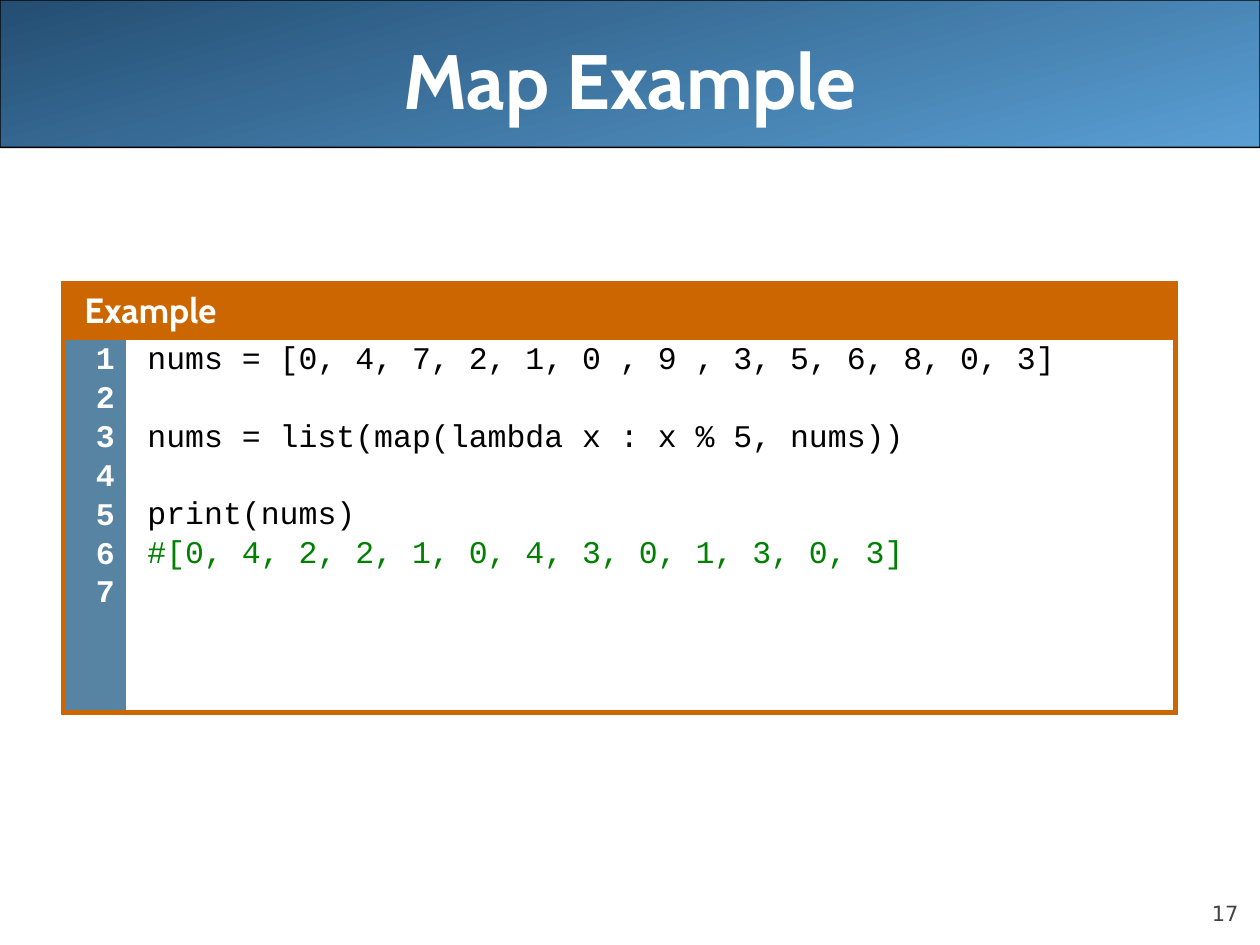
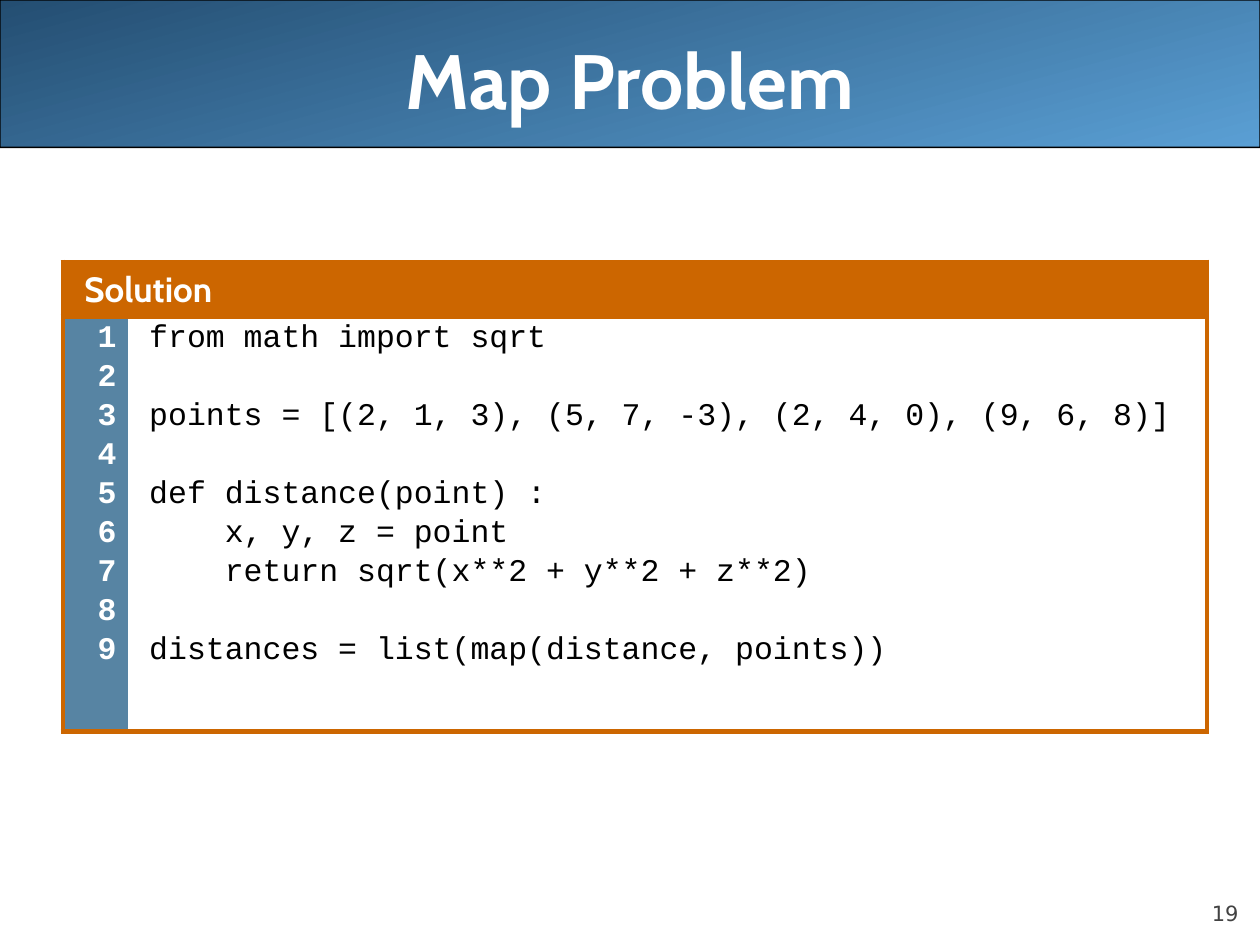
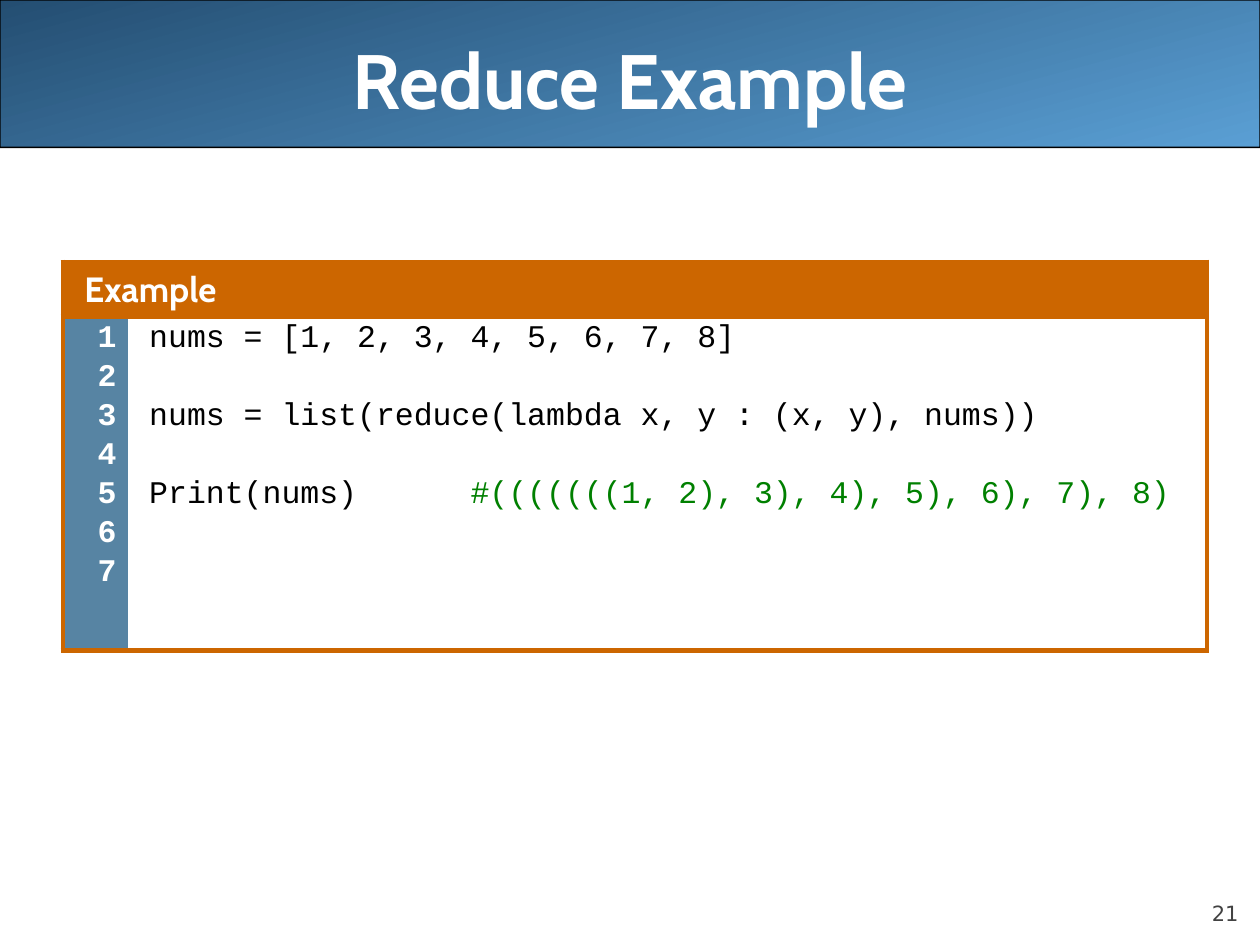
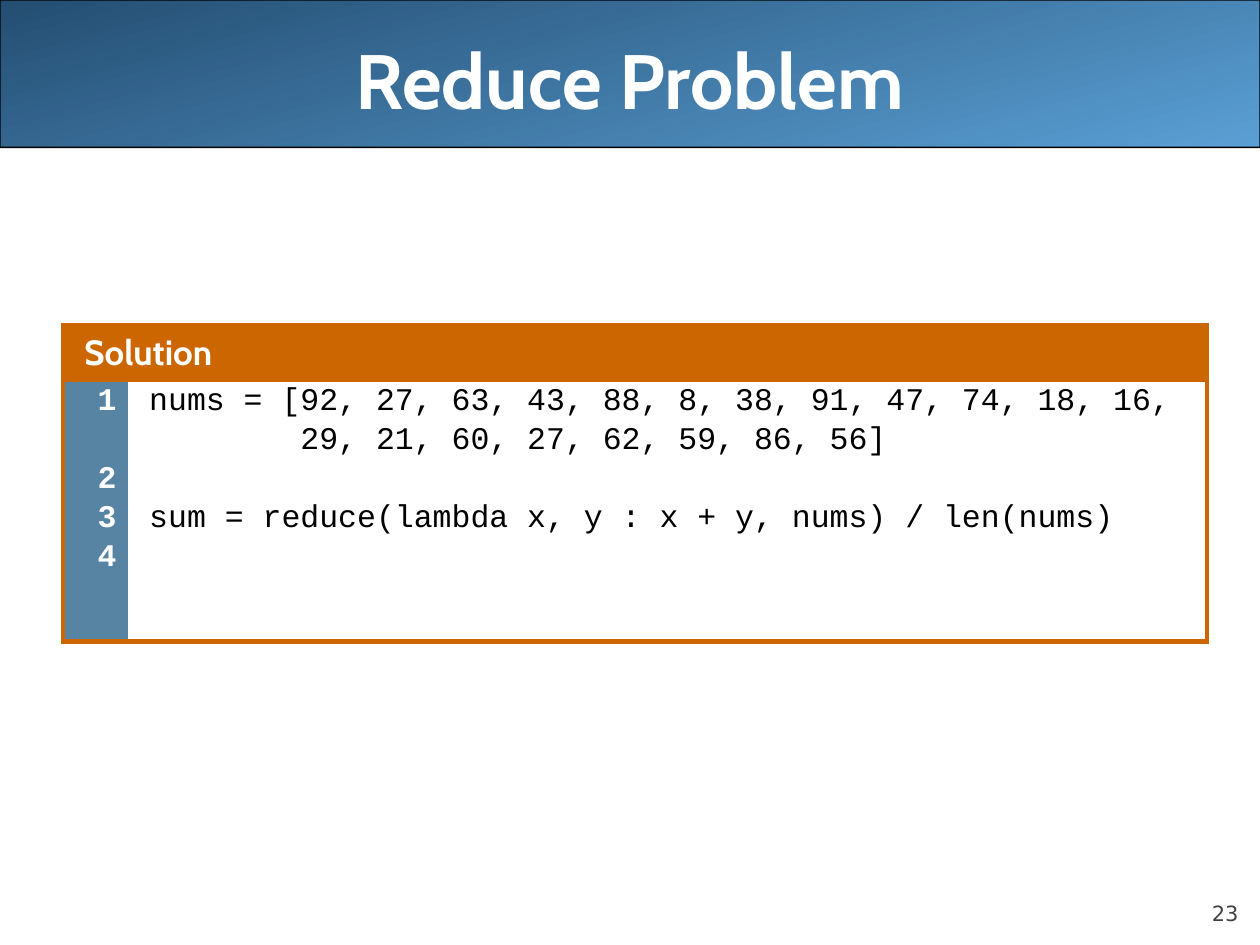
from lxml import etree
from pptx import Presentation
from pptx import util as u
from pptx.dml.color import RGBColor
from pptx.enum import shapes, text
from pptx.oxml import ns

W, H = 10, 7.5
ORANGE, STEEL, WHITE, BLACK = "CC6600", "5784A3", "FFFFFF", "000000"
GREEN, GREY, LIGHT, DARK = "008000", "424242", "5A9FD4", "244E72"

# Text formats
TITLE = dict(name="Cabin", size=u.Pt(44), bold=True, color=WHITE)
HEADING = dict(name="Cabin", size=u.Pt(20), bold=True, color=WHITE)
PAGE = dict(name="DejaVu Sans", size=u.Pt(12), bold=False, color=GREY)
NUMBER = dict(name="Courier New", size=u.Pt(18), bold=True, color=WHITE)
CODE = dict(NUMBER, bold=False, color=BLACK)
COMMENT = dict(CODE, color=GREEN)

# Code metrics
CHAR = 0.15            # width of one character, inches
TAB_COLUMN = 17        # character column of a trailing comment
LINE_SPACING = 0.87
SPACE_BEFORE = 4.5     # points
LINE_PITCH = 22.24     # points from one code line to the next
HEADER_H = 0.42
NUMBER_SHARE = 0.0567  # share of the table's width

SLIDES = [
    dict(title="Map Example", page=17, heading="Example",
         box=(0.5, 2.25, 8.83, 3.39), numbers="1 2 3 4 5 6 7".split(),
         code=["nums = [0, 4, 7, 2, 1, 0 , 9 , 3, 5, 6, 8, 0, 3]",
               "",
               "nums = list(map(lambda x : x % 5, nums))",
               "",
               "print(nums)",
               "#[0, 4, 2, 2, 1, 0, 4, 3, 0, 1, 3, 0, 3]"]),
    dict(title="Map Problem", page=19, heading="Solution",
         box=(0.5, 2.08, 9.08, 3.71), numbers="1 2 3 4 5 6 7 8 9".split(),
         code=["from math import sqrt",
               "",
               "points = [(2, 1, 3), (5, 7, -3), (2, 4, 0), (9, 6, 8)]",
               "",
               "def distance(point) :",
               "    x, y, z = point",
               "    return sqrt(x**2 + y**2 + z**2)",
               "",
               "distances = list(map(distance, points))"]),
    dict(title="Reduce Example", page=21, heading="Example",
         box=(0.5, 2.08, 9.08, 3.07), numbers="1 2 3 4 5 6 7".split(),
         code=["nums = [1, 2, 3, 4, 5, 6, 7, 8]",
               "",
               "nums = list(reduce(lambda x, y : (x, y), nums))",
               "",
               "Print(nums)\t#(((((((1, 2), 3), 4), 5), 6), 7), 8)"]),
    dict(title="Reduce Problem", page=23, heading="Solution",
         box=(0.5, 2.58, 9.08, 2.5), numbers=["1", "", "2", "3", "4"],
         code=["nums = [92, 27, 63, 43, 88, 8, 38, 91, 47, 74, 18, 16,",
               "        29, 21, 60, 27, 62, 59, 86, 56]",
               "",
               "sum = reduce(lambda x, y : x + y, nums) / len(nums)"]),
]


def rgb(value):
    return RGBColor.from_string(value)


def inches(*values):
    return [u.Inches(v) for v in values]


def add_run(p, content, fmt):
    r = p.add_run()
    r.text = content
    for key, value in fmt.items():
        if key == "color":
            r.font.color.rgb = rgb(value)
        else:
            setattr(r.font, key, value)


# Shared parts
def add_band(layout, slide):
    """Draw the gradient title band and hand it to the layout."""
    sp = slide.shapes.add_shape(shapes.MSO_SHAPE.ROUNDED_RECTANGLE,
                                *inches(0, 0, W, 1.17))
    sp.adjustments[0] = 0.001
    sp.shadow.inherit = False
    sp.fill.gradient()
    sp.fill.gradient_angle = 105
    for stop, color, position in zip(sp.fill.gradient_stops, (LIGHT, DARK), (0, 1)):
        stop.color.rgb = rgb(color)
        stop.position = position
    sp.line.color.rgb = rgb(BLACK)
    sp.line.width = u.Pt(0.75)
    layout.shapes._spTree.insert(2, sp._element)


def set_title(slide, content):
    sp = slide.shapes.title
    sp.left, sp.top, sp.width, sp.height = inches(0.5, 0, W - 1, 1.25)
    tf = sp.text_frame
    tf.vertical_anchor = text.MSO_ANCHOR.MIDDLE
    p = tf.paragraphs[0]
    p.alignment = text.PP_ALIGN.CENTER
    add_run(p, content, TITLE)


def add_page_number(slide, number):
    tf = slide.shapes.add_textbox(*inches(9, 6.95, 0.83, 0.4)).text_frame
    tf.word_wrap = True
    tf.vertical_anchor = text.MSO_ANCHOR.BOTTOM
    tf.margin_left = tf.margin_right = tf.margin_top = tf.margin_bottom = 0
    p = tf.paragraphs[0]
    p.alignment = text.PP_ALIGN.RIGHT
    p.space_before = u.Pt(5)
    add_run(p, str(number), PAGE)


# Code table
def style_cell(cell, fill, edges, right=0.05):
    """Set margins, fill and the borders named in edges (of L, R, T, B)."""
    cell.margin_left, cell.margin_right = inches(0.17, right)
    cell.margin_top = cell.margin_bottom = u.Inches(0.05)
    tc_pr = cell._tc.get_or_add_tcPr()
    for side in "LRTB":
        ln = etree.SubElement(tc_pr, ns.qn("a:ln" + side), w=str(u.Pt(3)))
        if side in edges:
            solid = etree.SubElement(ln, ns.qn("a:solidFill"))
            etree.SubElement(solid, ns.qn("a:srgbClr"), val=ORANGE)
        else:
            etree.SubElement(ln, ns.qn("a:noFill"))
    cell.fill.solid()
    cell.fill.fore_color.rgb = rgb(fill)


def add_lines(tf, lines, fmt, align):
    """One paragraph a line; an empty line widens the space before the next."""
    gap, p = SPACE_BEFORE, None
    for line in lines:
        if not line:
            gap += LINE_PITCH
            continue
        p = tf.add_paragraph() if p is not None else tf.paragraphs[0]
        p.alignment = align
        p.line_spacing = LINE_SPACING
        p.space_before = u.Pt(gap)
        gap = SPACE_BEFORE
        p_pr = p._p.get_or_add_pPr()
        body = line.lstrip(" ")
        p_pr.set("marL", str(u.Inches(CHAR * (len(line) - len(body)))))
        if "\t" in body:
            tabs = etree.SubElement(p_pr, ns.qn("a:tabLst"))
            etree.SubElement(tabs, ns.qn("a:tab"), algn="l",
                             pos=str(u.Inches(CHAR * TAB_COLUMN)))
        statement, mark, comment = body.partition("#")
        if statement:
            add_run(p, statement, fmt)
        if mark:
            add_run(p, mark + comment, COMMENT)


def add_code_table(slide, heading, box, numbers, code):
    _, _, width, height = box
    table = slide.shapes.add_table(2, 2, *inches(*box)).table
    table.first_row = table.horz_banding = False
    number_w = width * NUMBER_SHARE
    table.columns[0].width, table.columns[1].width = inches(number_w, width - number_w)
    table.rows[0].height, table.rows[1].height = inches(HEADER_H, height - HEADER_H)

    header, header_end = table.cell(0, 0), table.cell(0, 1)
    header.merge(header_end)
    for cell in (header, header_end):
        style_cell(cell, ORANGE, "LRTB")
    p = header.text_frame.paragraphs[0]
    p.space_before = u.Pt(5)
    add_run(p, heading, HEADING)

    number_cell, code_cell = table.cell(1, 0), table.cell(1, 1)
    style_cell(number_cell, STEEL, "LTB", right=0.09)
    style_cell(code_cell, WHITE, "RTB", right=0.18)
    add_lines(number_cell.text_frame, numbers, NUMBER, text.PP_ALIGN.RIGHT)
    add_lines(code_cell.text_frame, code, CODE, text.PP_ALIGN.LEFT)


def main():
    prs = Presentation()
    prs.slide_width, prs.slide_height = inches(W, H)
    layout = prs.slide_layouts.get_by_name("Title Only")
    for i, content in enumerate(SLIDES):
        slide = prs.slides.add_slide(layout)
        if i == 0:
            add_band(layout, slide)
        set_title(slide, content["title"])
        add_page_number(slide, content["page"])
        add_code_table(slide, content["heading"], content["box"],
                       content["numbers"], content["code"])
    prs.save("out.pptx")


if __name__ == "__main__":
    main()
